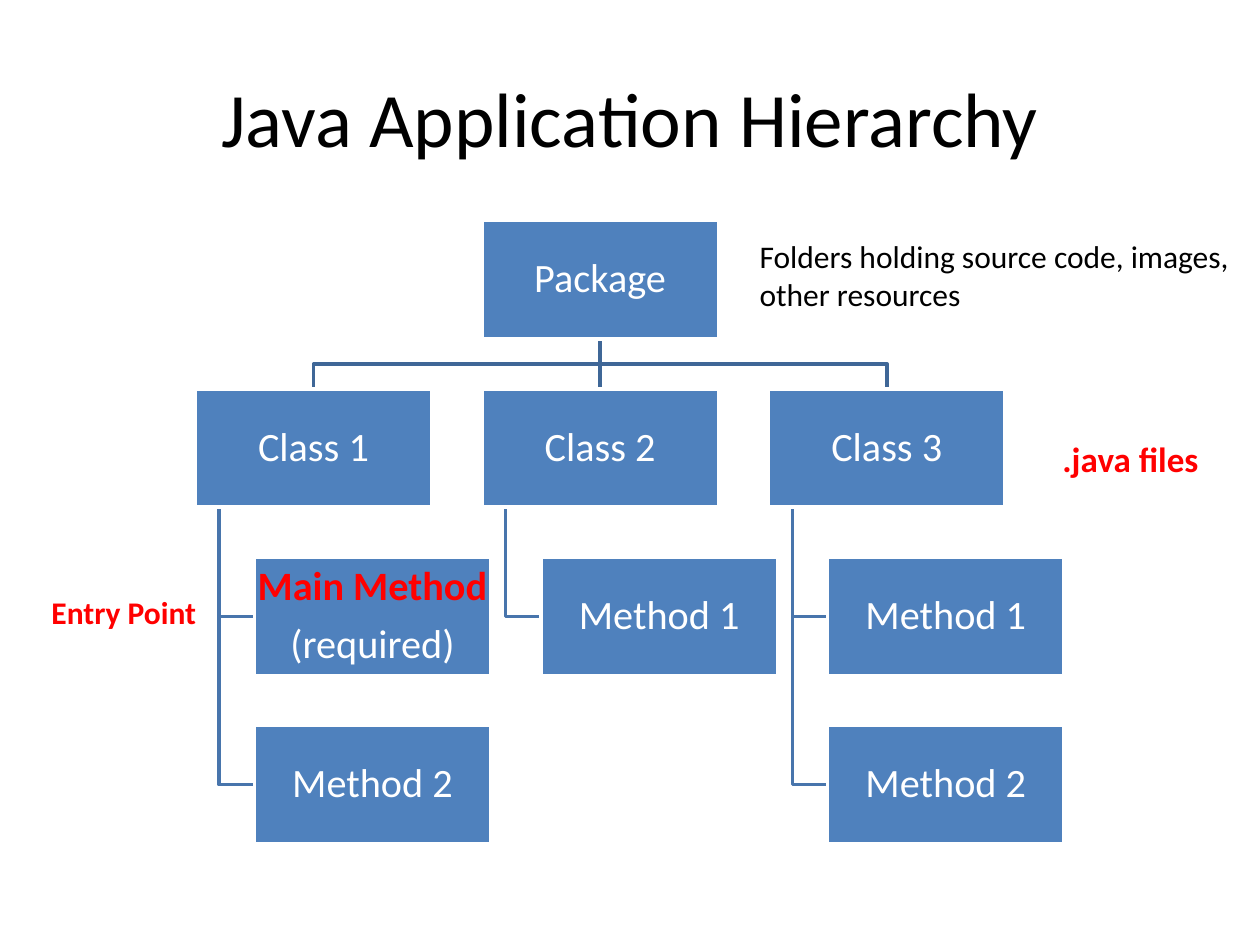
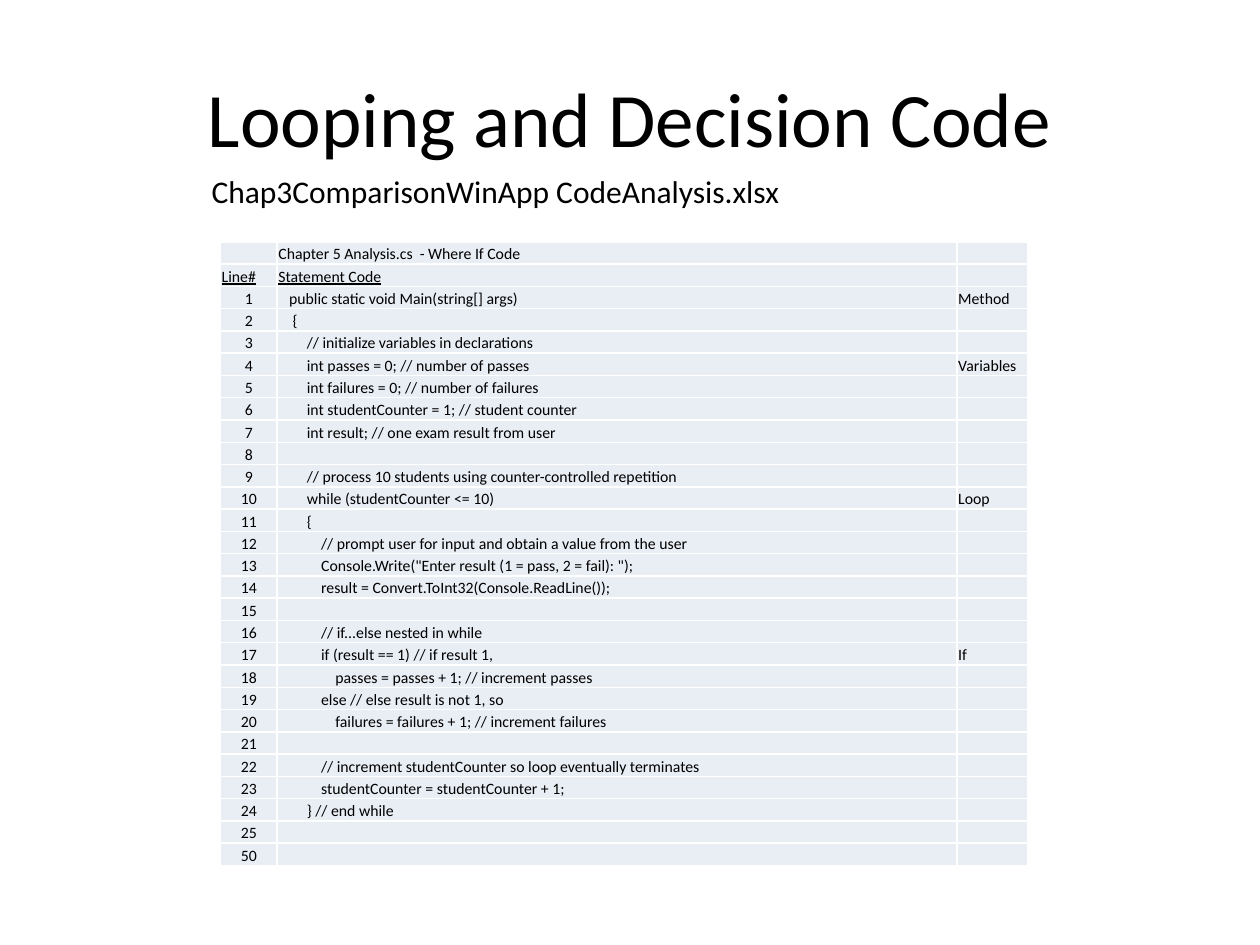
from lxml import etree
from pptx import Presentation
from pptx.dml import color
from pptx.enum import shapes, text
from pptx.oxml import ns
from pptx.util import Pt

FONT = "Calibri"
BLACK, WHITE, RED = "000000", "FFFFFF", "FF0000"
BLUE, TRUNK, TWIG, PALE = "4F81BD", "3F6797", "4875AC", "E9EDF4"
LEFT, MID = text.PP_ALIGN.LEFT, text.PP_ALIGN.CENTER


def rgb(code):
    """Turn a hex string into a colour."""
    return color.RGBColor.from_string(code)


class Deck:
    """Holds the shared style and the current slide."""

    def __init__(self):
        """Start a 10 by 7.5 inch deck."""
        self.prs = Presentation()
        self.prs.slide_width, self.prs.slide_height = Pt(720), Pt(540)

    def page(self, title):
        """Add a blank slide with its title."""
        self.slide = self.prs.slides.add_slide(self.prs.slide_layouts[6])
        frame = self.label(title, 36, 21.6, 648, 90, 44, align=MID)
        frame.vertical_anchor = text.MSO_ANCHOR.MIDDLE

    def style(self, para, size, hue=BLACK, bold=False, align=LEFT):
        """Format one paragraph and its runs."""
        para.alignment = align
        for run in para.runs:
            run.font.name, run.font.size = FONT, Pt(size)
            run.font.bold = bold
            run.font.color.rgb = rgb(hue)

    def label(self, words, x, y, w, h, size, hue=BLACK, bold=False,
              align=LEFT, wrap=True):
        """Add a text box and return its frame."""
        frame = self.slide.shapes.add_textbox(Pt(x), Pt(y), Pt(w), Pt(h)).text_frame
        frame.word_wrap = wrap
        frame.text = words
        self.style(frame.paragraphs[0], size, hue, bold, align)
        return frame

    def node(self, words, x, y, w, h):
        """Add a chart box; the first of two lines is stressed."""
        box = self.slide.shapes.add_shape(
            shapes.MSO_SHAPE.RECTANGLE, Pt(x), Pt(y), Pt(w), Pt(h))
        box.shadow.inherit = False
        box.fill.solid()
        box.fill.fore_color.rgb = rgb(BLUE)
        box.line.color.rgb = rgb(WHITE)
        box.line.width = Pt(2)
        frame = box.text_frame
        frame.margin_left = frame.margin_right = Pt(1)
        frame.margin_top = frame.margin_bottom = Pt(1)
        frame.vertical_anchor = text.MSO_ANCHOR.MIDDLE
        frame.word_wrap = True
        frame.text = words
        paras = frame.paragraphs
        for i, para in enumerate(paras):
            key = len(paras) > 1 and i == 0
            self.style(para, 23, RED if key else WHITE, key, MID)
            para.line_spacing = 0.9
            para.space_after = Pt(8)

    def bend(self, hue, *points):
        """Draw an open line through the points."""
        spots = [(Pt(x), Pt(y)) for x, y in points]
        pen = self.slide.shapes.build_freeform(*spots[0])
        pen.add_line_segments(spots[1:], close=False)
        line = pen.convert_to_shape()
        line.shadow.inherit = False
        line.fill.background()
        line.line.color.rgb = rgb(hue)
        line.line.width = Pt(2)

    def stem(self, hue, x, top, end):
        """Draw a straight upright line."""
        line = self.slide.shapes.add_connector(
            shapes.MSO_CONNECTOR.STRAIGHT, Pt(x), Pt(top), Pt(x), Pt(end))
        line.line.color.rgb = rgb(hue)
        line.line.width = Pt(2)
        etree.SubElement(line._element.spPr, ns.qn("a:effectLst"))

    def cell(self, cell, words, align=LEFT, under=False, indent=0):
        """Fill and format one table cell."""
        cell.margin_left, cell.margin_right = Pt(0.7 + indent), Pt(0.7)
        cell.margin_top, cell.margin_bottom = Pt(0.7), Pt(0)
        cell.vertical_anchor = text.MSO_ANCHOR.BOTTOM
        props = cell._tc.get_or_add_tcPr()
        for side in ("lnL", "lnR", "lnT", "lnB"):
            edge = etree.SubElement(props, ns.qn("a:" + side), w=str(Pt(1)))
            fill = etree.SubElement(edge, ns.qn("a:solidFill"))
            etree.SubElement(fill, ns.qn("a:srgbClr"), val=WHITE)
        cell.fill.solid()
        cell.fill.fore_color.rgb = rgb(PALE)
        para = cell.text_frame.paragraphs[0]
        if not words:
            para._p.get_or_add_endParaRPr().set("sz", "900")
            return
        para.text = words
        self.style(para, 9, align=align)
        para.runs[0].font.underline = under

    def table(self, x, y, widths, high, count):
        """Add a plain table with equal rows."""
        grid = self.slide.shapes.add_table(
            count, len(widths), Pt(x), Pt(y), Pt(sum(widths)), Pt(high * count)).table
        grid.first_row = grid.horz_banding = False
        for col, wide in zip(grid.columns, widths):
            col.width = Pt(wide)
        for row in grid.rows:
            row.height = Pt(high)
        return grid


def tree(deck):
    """Build the hierarchy slide."""
    deck.page("Java Application Hierarchy")
    wide, high = 135.2, 67.6
    left, top = 111.6, 126
    step, drop, shift = 163.8, 96.2, 33.8
    root = left + step
    heart = root + wide / 2
    kids = [("Class 1", ["Main Method\n(required)", "Method 2"]),
            ("Class 2", ["Method 1"]),
            ("Class 3", ["Method 1", "Method 2"])]
    base, fork, child = top + high, top + (high + drop) / 2, top + drop

    for i, (_, parts) in enumerate(kids):
        x = left + i * step
        hub = x + wide / 2
        if i == 1:
            deck.stem(TRUNK, heart, base, child)
        else:
            deck.bend(TRUNK, (heart, base), (heart, fork), (hub, fork), (hub, child))
        rail = x + wide / 10
        for j in range(len(parts)):
            y = top + (j + 2) * drop + high / 2
            deck.bend(TWIG, (rail, child + high), (rail, y), (x + shift, y))

    deck.node("Package", root, top, wide, high)
    for i, (name, parts) in enumerate(kids):
        x = left + i * step
        deck.node(name, x, child, wide, high)
        for j, part in enumerate(parts):
            deck.node(part, x + shift, top + (j + 2) * drop, wide, high)

    deck.label(".java files", 600, 246.2, 93, 31.5, 20, RED, True, wrap=False)
    deck.label("Entry Point", 22.3, 335.5, 98, 29, 18, RED, True, wrap=False)
    deck.label("Folders holding source code, images, other resources",
               427, 131.8, 288, 51, 18)


# Indent level, statement, remark
CODE = [
    (0.75, "public static void Main(string[] args)", "Method"),
    (1, "{", ""),
    (2, "// initialize variables in declarations", ""),
    (2, "int passes = 0; // number of passes", "Variables"),
    (2, "int failures = 0; // number of failures", ""),
    (2, "int studentCounter = 1; // student counter", ""),
    (2, "int result; // one exam result from user", ""),
    (0, "", ""),
    (2, "// process 10 students using counter-controlled repetition", ""),
    (2, "while (studentCounter <= 10)", "Loop"),
    (2, "{", ""),
    (3, "// prompt user for input and obtain a value from the user", ""),
    (3, "Console.Write(\"Enter result (1 = pass, 2 = fail): \");", ""),
    (3, "result = Convert.ToInt32(Console.ReadLine());", ""),
    (0, "", ""),
    (3, "// if...else nested in while", ""),
    (3, "if (result == 1) // if result 1,", "If"),
    (4, "passes = passes + 1; // increment passes", ""),
    (3, "else // else result is not 1, so", ""),
    (4, "failures = failures + 1; // increment failures", ""),
    (0, "", ""),
    (3, "// increment studentCounter so loop eventually terminates", ""),
    (3, "studentCounter = studentCounter + 1;", ""),
    (2, "} // end while", ""),
    (0, "", ""),
    (0, "", ""),
]


def listing(deck):
    """Build the code listing slide."""
    deck.page("Looping and Decision Code")
    grid = deck.table(126, 138.2, [32.4, 388.5, 40.6], 12.73, len(CODE) + 2)
    heads = [("", "Chapter 5 Analysis.cs  - Where If Code", ""),
             ("Line#", "Statement Code", "")]
    for r, row in enumerate(heads):
        for c, words in enumerate(row):
            deck.cell(grid.cell(r, c), words, under=r == 1)
    marks = [*range(1, len(CODE)), 50]
    for r, (mark, (level, code, note)) in enumerate(zip(marks, CODE), len(heads)):
        deck.cell(grid.cell(r, 0), str(mark), MID)
        deck.cell(grid.cell(r, 1), code, indent=level * 8.14)
        deck.cell(grid.cell(r, 2), note)
    deck.label("Chap3ComparisonWinApp CodeAnalysis.xlsx",
               113.8, 95, 342.7, 29, 18, wrap=False)


deck = Deck()
tree(deck)
listing(deck)
deck.prs.save("out.pptx")
